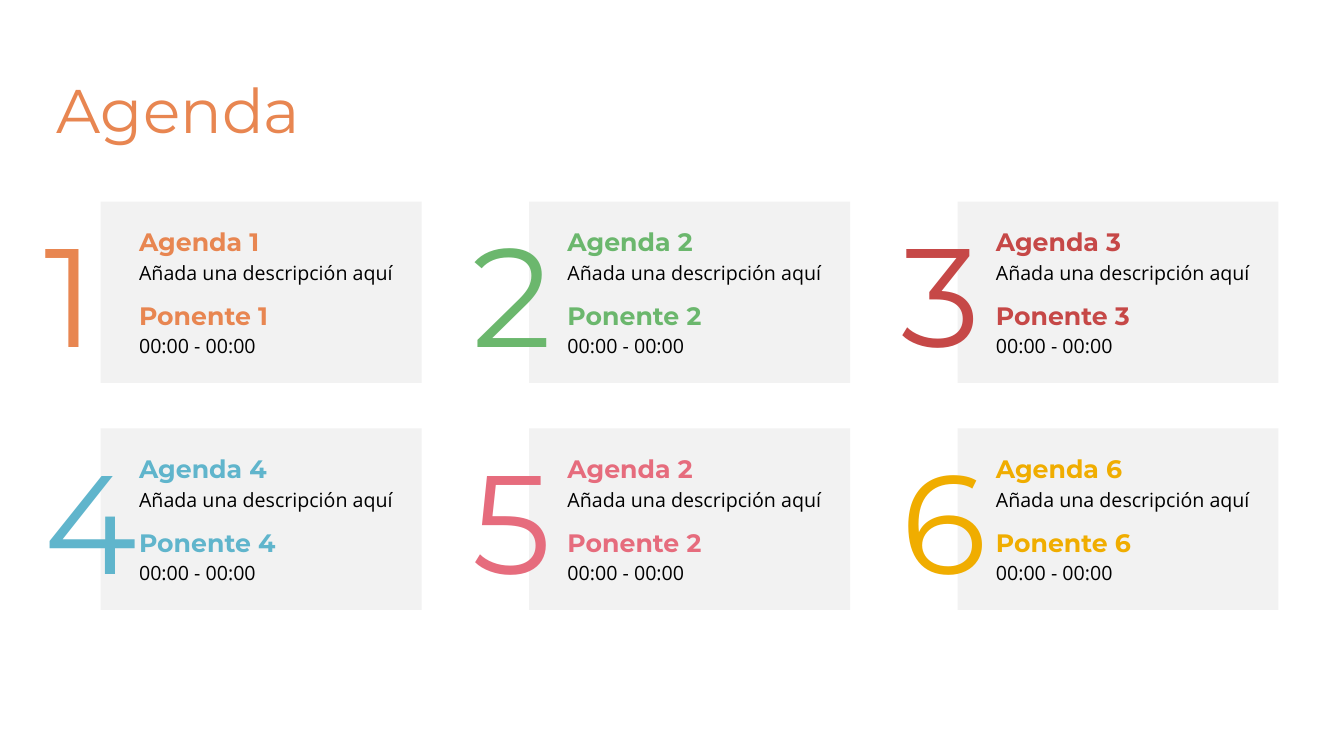
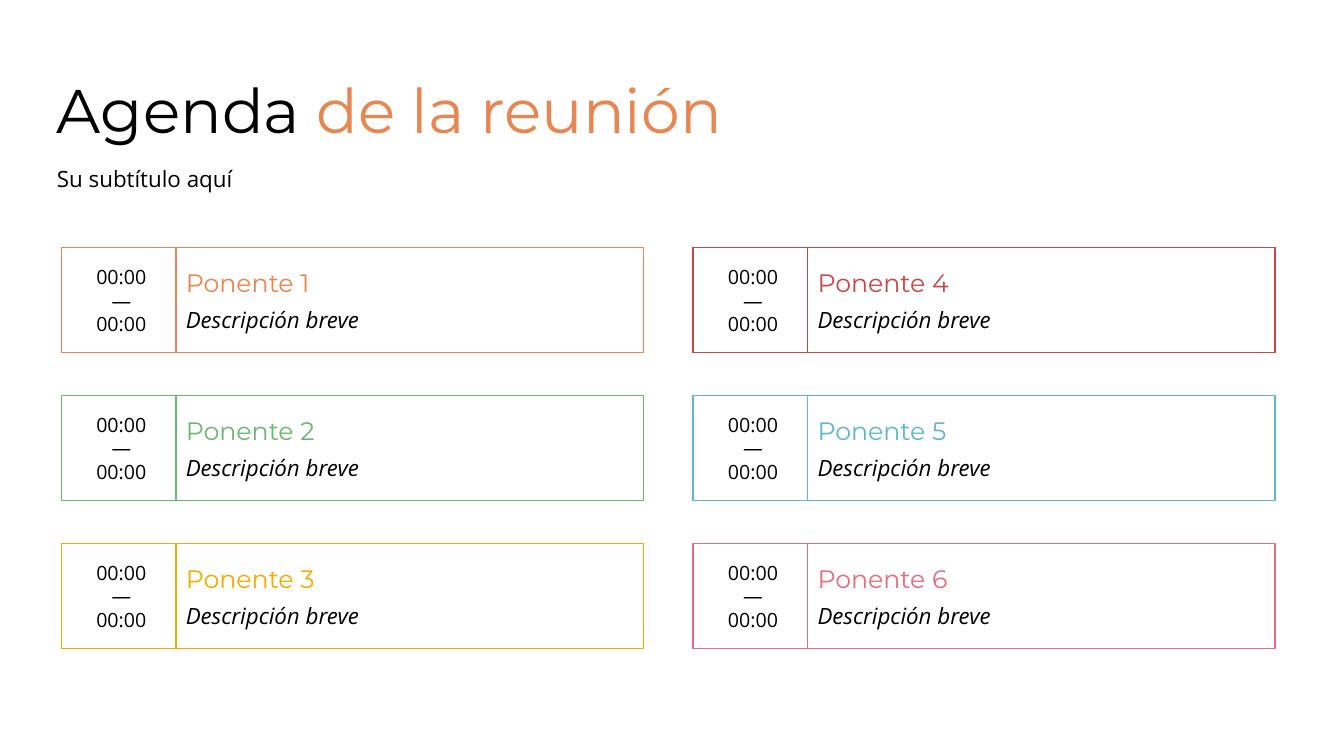
from collections import namedtuple

from pptx import Presentation
from pptx.dml.color import RGBColor
from pptx.enum.shapes import MSO_SHAPE as Shape
from pptx.enum.text import MSO_ANCHOR as Anchor, MSO_AUTO_SIZE as AutoSize, PP_ALIGN as Align
from pptx.util import Inches, Pt

WIDTH, HEIGHT = Inches(13.33), Inches(7.5)
COLUMN, ROW = WIDTH / 160, HEIGHT / 90

BLACK = RGBColor(0x00, 0x00, 0x00)
WHITE = RGBColor(0xFF, 0xFF, 0xFF)
GRAY = RGBColor(0xF2, 0xF2, 0xF2)
ORANGE = RGBColor(0xE8, 0x86, 0x51)
GREEN = RGBColor(0x6B, 0xB7, 0x6D)
RED = RGBColor(0xC6, 0x48, 0x47)
BLUE = RGBColor(0x60, 0xB5, 0xCC)
PINK = RGBColor(0xE6, 0x6C, 0x7D)
YELLOW = RGBColor(0xF0, 0xAD, 0x00)

HEADING, BODY = "Montserrat", "Open Sans"
TIME = "00:00"

Style = namedtuple("Style", "name size color bold italic", defaults=(BLACK, False, False))
Line = namedtuple("Line", "text style before", defaults=(0,))


class Box(namedtuple("Box", "left top width height")):
    def inner(self, left, top, width, height):
        return Box(self.left + left, self.top + top, width, height)

    def emu(self):
        return (round(self.left * COLUMN), round(self.top * ROW),
                round(self.width * COLUMN), round(self.height * ROW))


TITLE_BOX = Box(5.6, 4.8, 138, 17.4)
SUBTITLE_BOX = Box(5.6, 19.44, 73.2, 4.1)
FIRST_CARD = Box(12, 24, 38.2, 21.6)
FIRST_ENTRY = Box(7.3, 29.5, 69.3, 12.5)


def set_font(font, style):
    font.name, font.size = style.name, Pt(style.size)
    font.bold, font.italic = style.bold, style.italic
    font.color.rgb = style.color


def write_lines(shape, lines, align=Align.LEFT, anchor=Anchor.MIDDLE):
    frame = shape.text_frame
    frame.word_wrap = True
    frame.vertical_anchor = anchor
    for index, line in enumerate(lines):
        paragraph = frame.add_paragraph() if index else frame.paragraphs[0]
        paragraph.text = line.text
        paragraph.alignment = align
        paragraph.space_before = Pt(line.before)
        set_font(paragraph.font, line.style)
    return frame


def add_panel(shapes, kind, box, fill, outline=None):
    shape = shapes.add_shape(kind, *box.emu())
    shape.shadow.inherit = False
    shape.fill.solid()
    shape.fill.fore_color.rgb = fill
    if outline is None:
        shape.line.fill.background()
    else:
        shape.line.color.rgb = outline
        shape.line.width = Pt(1)
    return shape


def add_title(slide, *pieces):
    frame = slide.shapes.add_textbox(*TITLE_BOX.emu()).text_frame
    frame.word_wrap = True
    frame.vertical_anchor = Anchor.MIDDLE
    paragraph = frame.paragraphs[0]
    paragraph.line_spacing = 0.9
    for text, color in pieces:
        run = paragraph.add_run()
        run.text = text
        set_font(run.font, Style(HEADING, 44, color))


def add_agenda_card(slide, box, number, label, color):
    shapes = slide.shapes.add_group_shape().shapes
    heading, detail = Style(HEADING, 18, color, True), Style(BODY, 14)
    panel = add_panel(shapes, Shape.RECTANGLE, box, GRAY)
    frame = write_lines(panel, [
        Line(f"Agenda {label}", heading),
        Line("Añada una descripción aquí", detail, 2.8),
        Line(f"Ponente {label}", heading, 11.3),
        Line(f"{TIME} - {TIME}", detail, 2.8),
    ])
    frame.margin_left = Inches(0.38)
    numeral = shapes.add_textbox(*box.inner(-7.9, 0.1, 11.4, 21.2).emu())
    frame = write_lines(numeral, [Line(str(number), Style(HEADING, 100, color))],
                        anchor=Anchor.TOP)
    frame.auto_size = AutoSize.SHAPE_TO_FIT_TEXT


def add_meeting_entry(slide, box, number, color):
    time_box = box.inner(0, 0, 14.3, box.height)
    speaker_box = box.inner(13.65, 0, box.width - 13.65, box.height)
    time_panel, speaker_panel = [
        add_panel(slide.shapes, Shape.ROUNDED_RECTANGLE, area, WHITE, color)
        for area in (time_box, speaker_box)
    ]
    for panel in (time_panel, speaker_panel):
        panel.adjustments[0] = 0
    write_lines(time_panel, [Line(text, Style(BODY, 14)) for text in (TIME, "—", TIME)],
                Align.CENTER)
    write_lines(speaker_panel, [
        Line(f"Ponente {number}", Style(HEADING, 18, color)),
        Line("Descripción breve", Style(BODY, 16, italic=True), 5.7),
    ])


def build_agenda(slide):
    add_title(slide, ("Agenda", ORANGE))
    cards = [(1, ORANGE), (2, GREEN), (3, RED), (4, BLUE), (2, PINK), (6, YELLOW)]
    for index, (label, color) in enumerate(cards):
        row, column = divmod(index, 3)
        box = FIRST_CARD.inner(51 * column, 27 * row, FIRST_CARD.width, FIRST_CARD.height)
        add_agenda_card(slide, box, index + 1, label, color)


def build_meeting(slide):
    add_title(slide, ("Agenda", BLACK), (" de la reunión", ORANGE))
    subtitle = slide.shapes.add_textbox(*SUBTITLE_BOX.emu())
    frame = write_lines(subtitle, [Line("Su subtítulo aquí", Style(BODY, 16))])
    frame.paragraphs[0].line_spacing = 0.9
    frame.auto_size = AutoSize.SHAPE_TO_FIT_TEXT
    for index, color in enumerate([ORANGE, GREEN, YELLOW, RED, BLUE, PINK]):
        column, row = divmod(index, 3)
        box = FIRST_ENTRY.inner(75.2 * column, 17.6 * row, FIRST_ENTRY.width, FIRST_ENTRY.height)
        add_meeting_entry(slide, box, index + 1, color)


def main():
    presentation = Presentation()
    presentation.slide_width, presentation.slide_height = WIDTH, HEIGHT
    for build in (build_agenda, build_meeting):
        build(presentation.slides.add_slide(presentation.slide_layouts[6]))
    presentation.save("out.pptx")


if __name__ == "__main__":
    main()
